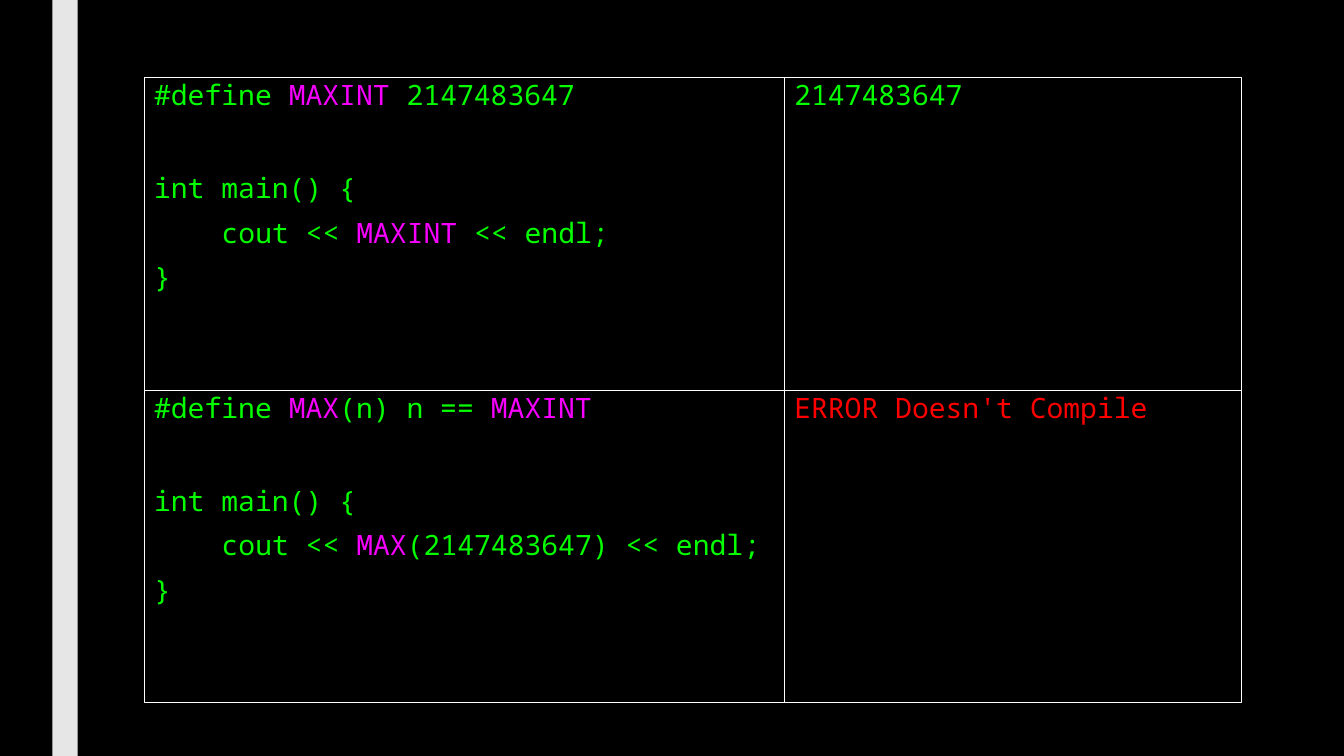
from pptx import Presentation
from pptx.dml.color import RGBColor
from pptx.enum import shapes, text
from pptx.util import Inches, Pt

# Each row is code, output; each line is (format, runs); each run is (role, words)
ROWS = [
    (
        [("top", [("code", "#define "), ("macro", "MAXINT"), ("code", " 2147483647")]),
         ("main", [("code", "int main() {")]),
         ("body", [("code", "cout << "), ("macro", "MAXINT"), ("code", " << endl;")]),
         ("top", [("code", "}")])],
        [("top", [("code", "2147483647")])],
    ),
    (
        [("top", [("code", "#define "), ("macro", "MAX"), ("code", "(n) n == "),
                  ("macro", "MAXINT")]),
         ("main", [("code", "int main() {")]),
         ("body", [("code", "cout << "), ("macro", "MAX"),
                   ("code", "(2147483647) << endl;")]),
         ("top", [("code", "}")])],
        [("top", [("error", "ERROR Doesn't Compile")])],
    ),
]

THEME = {
    "back": "000000", "bar": "E7E6E6", "rule": "FFFFFF",
    "code": "05FF00", "macro": "F800FF", "error": "FF0000",
    "font": "Noto Sans Mono", "size": Pt(20), "width": Pt(0.75),
}
# Space before a line, and its indent (four characters wide)
LINES = {
    "top": (Pt(9.2), 0),
    "main": (Pt(43.8), 0),
    "body": (Pt(9.2), Inches(0.67)),
}
LEFT, TOP = 1.43, 0.77
WIDTHS = [6.35, 4.53]
HEIGHT = 3.1


def color(role):
    return RGBColor.from_string(THEME[role])


def apply(item, values):
    for name, value in values.items():
        setattr(item, name, value)


def add_rect(slide, left, top, width, height):
    rect = slide.shapes.add_shape(
        shapes.MSO_SHAPE.RECTANGLE,
        *(Inches(size) for size in (left, top, width, height)))
    rect.shadow.inherit = False
    return rect


def write(frame, lines):
    apply(frame, {"word_wrap": True, "vertical_anchor": text.MSO_ANCHOR.TOP})
    for spot, (kind, runs) in enumerate(lines):
        para = frame.add_paragraph() if spot else frame.paragraphs[0]
        before, indent = LINES[kind]
        apply(para, {"line_spacing": 0.86, "space_before": before,
                     "space_after": Pt(2), "alignment": text.PP_ALIGN.LEFT})
        para._p.get_or_add_pPr().set("marL", str(indent))
        for role, words in runs:
            run = para.add_run()
            run.text = words
            apply(run.font, {"name": THEME["font"], "size": THEME["size"]})
            run.font.color.rgb = color(role)


def add_bar(slide):
    bar = add_rect(slide, 0.52, 0, 0.25, 7.5)
    bar.fill.solid()
    bar.fill.fore_color.rgb = color("bar")
    bar.line.fill.background()


def add_grid(slide):
    for row, cells in enumerate(ROWS):
        for col, lines in enumerate(cells):
            box = add_rect(slide, LEFT + sum(WIDTHS[:col]), TOP + row * HEIGHT,
                           WIDTHS[col], HEIGHT)
            box.fill.background()
            box.line.color.rgb = color("rule")
            box.line.width = THEME["width"]
            write(box.text_frame, lines)


def main():
    deck = Presentation()
    apply(deck, {"slide_width": Inches(13.33), "slide_height": Inches(7.5)})
    slide = deck.slides.add_slide(deck.slide_layouts[6])
    slide.background.fill.solid()
    slide.background.fill.fore_color.rgb = color("back")
    add_bar(slide)
    add_grid(slide)
    deck.save("out.pptx")


if __name__ == "__main__":
    main()
